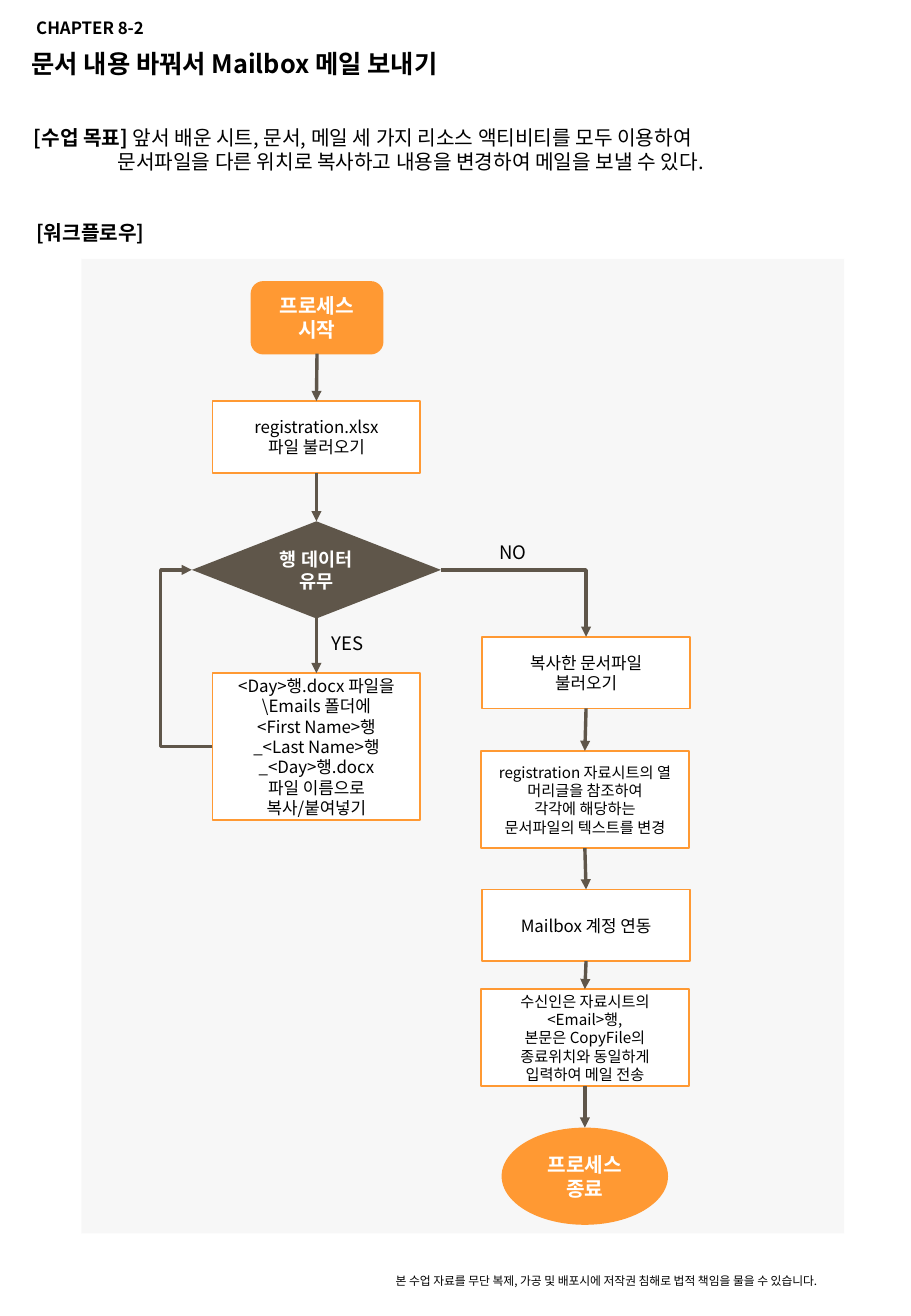
import pptx
import pptx.util
import pptx.dml.color
import pptx.enum.shapes
import pptx.enum.text
import pptx.oxml.ns
import lxml.etree

Inches = pptx.util.Inches
Pt = pptx.util.Pt
SHAPE = pptx.enum.shapes.MSO_SHAPE
CONNECTOR = pptx.enum.shapes.MSO_CONNECTOR
ALIGN = pptx.enum.text.PP_ALIGN
ANCHOR = pptx.enum.text.MSO_ANCHOR

FONT = "Noto Sans CJK KR"
ORANGE, BROWN, GRAY = "FF9933", "5F564A", "F2F2F2"
WHITE, BLACK = "FFFFFF", "000000"
TOP, LEFT, BOTTOM, RIGHT = range(4)


def rgb(value):
    return pptx.dml.color.RGBColor.from_string(value)


def add_xml(parent, tag, **attrs):
    el = lxml.etree.SubElement(parent, pptx.oxml.ns.qn(tag))
    for name, value in attrs.items():
        el.set(name, value)
    return el


def style_run(r, size, color=BLACK, bold=False):
    r.font.size = Pt(size)
    r.font.bold = bold
    r.font.name = FONT
    r.font.color.rgb = rgb(color)
    add_xml(r.font._element, "a:ea", typeface=FONT)


def write(tf, text, size, color=BLACK, bold=False, align=ALIGN.LEFT):
    tf.word_wrap = True
    tf.text = text
    for p in tf.paragraphs:
        p.alignment = align
        for r in p.runs:
            style_run(r, size, color, bold)


def add_label(s, box, text, size, bold=False):
    sp = s.shapes.add_textbox(*map(Inches, box))
    write(sp.text_frame, text, size, bold=bold)
    return sp


def add_node(s, kind, box, fill, line=None, text="", size=10, color=BLACK, bold=False):
    sp = s.shapes.add_shape(kind, *map(Inches, box))
    sp.shadow.inherit = False
    sp.fill.solid()
    sp.fill.fore_color.rgb = rgb(fill)
    if line:
        sp.line.color.rgb = rgb(line)
        sp.line.width = Pt(1)
    else:
        sp.line.fill.background()
    if text:
        sp.text_frame.vertical_anchor = ANCHOR.MIDDLE
        write(sp.text_frame, text, size, color, bold, ALIGN.CENTER)
    return sp


def add_step(s, left, top, height, text, size=10):
    box = (left, top, 1.71, height)
    return add_node(s, SHAPE.FLOWCHART_PROCESS, box, WHITE, ORANGE, text, size)


def add_arrow(s, start, end, start_side=BOTTOM, end_side=TOP, kind=CONNECTOR.STRAIGHT):
    c = s.shapes.add_connector(kind, 0, 0, 0, 0)
    c.begin_connect(start, start_side)
    c.end_connect(end, end_side)
    c.line.color.rgb = rgb(BROWN)
    c.line.width = Pt(2)
    add_xml(c.line._get_or_add_ln(), "a:tailEnd", type="triangle")
    add_xml(c._element.spPr, "a:effectLst")
    return c


def add_headings(s):
    title = s.shapes.title
    title.left, title.top, title.width, title.height = map(Inches, (0.16, 0.35, 4.16, 0.35))
    title.text_frame.vertical_anchor = ANCHOR.TOP
    write(title.text_frame, "문서 내용 바꿔서 Mailbox 메일 보내기", 15, bold=True)
    add_label(s, (0.2, 0.1, 1.29, 0.27), "CHAPTER 8-2", 10, True)
    add_label(s, (3.16, 10.43, 4.13, 0.21),
              "본 수업 자료를 무단 복제, 가공 및 배포시에 저작권 침해로 법적 책임을 물을 수 있습니다.", 7)
    goal = add_label(s, (0.18, 0.98, 6.8, 0.5), "[수업 목표] ", 12, True).text_frame
    r = goal.paragraphs[0].add_run()
    r.text = "앞서 배운 시트, 문서, 메일 세 가지 리소스 액티비티를 모두 이용하여"
    style_run(r, 12)
    p = goal.add_paragraph()
    p.text = "문서파일을 다른 위치로 복사하고 내용을 변경하여 메일을 보낼 수 있다."
    p._p.get_or_add_pPr().set("marL", str(Inches(0.69)))
    style_run(p.runs[0], 12)
    add_label(s, (0.2, 1.76, 6.8, 0.3), "[워크플로우]", 12, True)


def add_workflow(s):
    panel = add_node(s, SHAPE.FLOWCHART_PROCESS, (0.67, 2.13, 6.28, 8.02), GRAY)
    color = panel._element.spPr.find(".//" + pptx.oxml.ns.qn("a:srgbClr"))
    add_xml(color, "a:alpha", val="54000")

    start = add_node(s, SHAPE.FLOWCHART_ALTERNATE_PROCESS, (2.07, 2.32, 1.08, 0.59),
                     ORANGE, ORANGE, "프로세스\n시작", 12, WHITE, True)
    load = add_step(s, 1.75, 3.3, 0.59, "registration.xlsx\n파일 불러오기")
    decision = add_node(s, SHAPE.FLOWCHART_DECISION, (1.58, 4.29, 2.05, 0.8),
                        BROWN, None, "행 데이터\n유무", 11, WHITE, True)
    copy_file = add_step(s, 1.75, 5.54, 1.21,
                         "<Day>행.docx 파일을 \\Emails 폴더에\n<First Name>행\n"
                         "_<Last Name>행_<Day>행.docx\n파일 이름으로\n복사/붙여넣기")
    open_document = add_step(s, 3.97, 5.24, 0.59, "복사한 문서파일\n불러오기")
    replace = add_step(s, 3.96, 6.18, 0.8,
                       "registration 자료시트의 열 머리글을 참조하여\n"
                       "각각에 해당하는\n문서파일의 텍스트를 변경", 9)
    account = add_step(s, 3.97, 7.32, 0.59, "Mailbox 계정 연동")
    send = add_step(s, 3.96, 8.14, 0.8,
                    "수신인은 자료시트의 <Email>행,\n본문은 CopyFile의\n"
                    "종료위치와 동일하게\n입력하여 메일 전송", 9)
    end = add_node(s, SHAPE.OVAL, (4.13, 9.28, 1.37, 0.8),
                   ORANGE, None, "프로세스 종료", 12, WHITE, True)

    for chain in ((start, load, decision, copy_file),
                  (open_document, replace, account, send, end)):
        for a, b in zip(chain, chain[1:]):
            add_arrow(s, a, b)

    loop = add_arrow(s, copy_file, decision, LEFT, LEFT, CONNECTOR.ELBOW)
    guides = loop._element.spPr.prstGeom.get_or_add_avLst()
    add_xml(guides, "a:gd", name="adj1", fmla="val 250800")
    branch = add_arrow(s, decision, open_document, RIGHT, TOP, CONNECTOR.ELBOW)
    branch._element.spPr.prstGeom.set("prst", "bentConnector2")

    add_label(s, (2.63, 5.15, 0.49, 0.29), "YES", 11)
    add_label(s, (4.01, 4.4, 0.49, 0.29), "NO", 11)


def main():
    prs = pptx.Presentation()
    prs.slide_width, prs.slide_height = Inches(7.5), Inches(10.83)
    s = prs.slides.add_slide(prs.slide_layouts[5])
    add_headings(s)
    add_workflow(s)
    prs.save("out.pptx")


if __name__ == "__main__":
    main()
